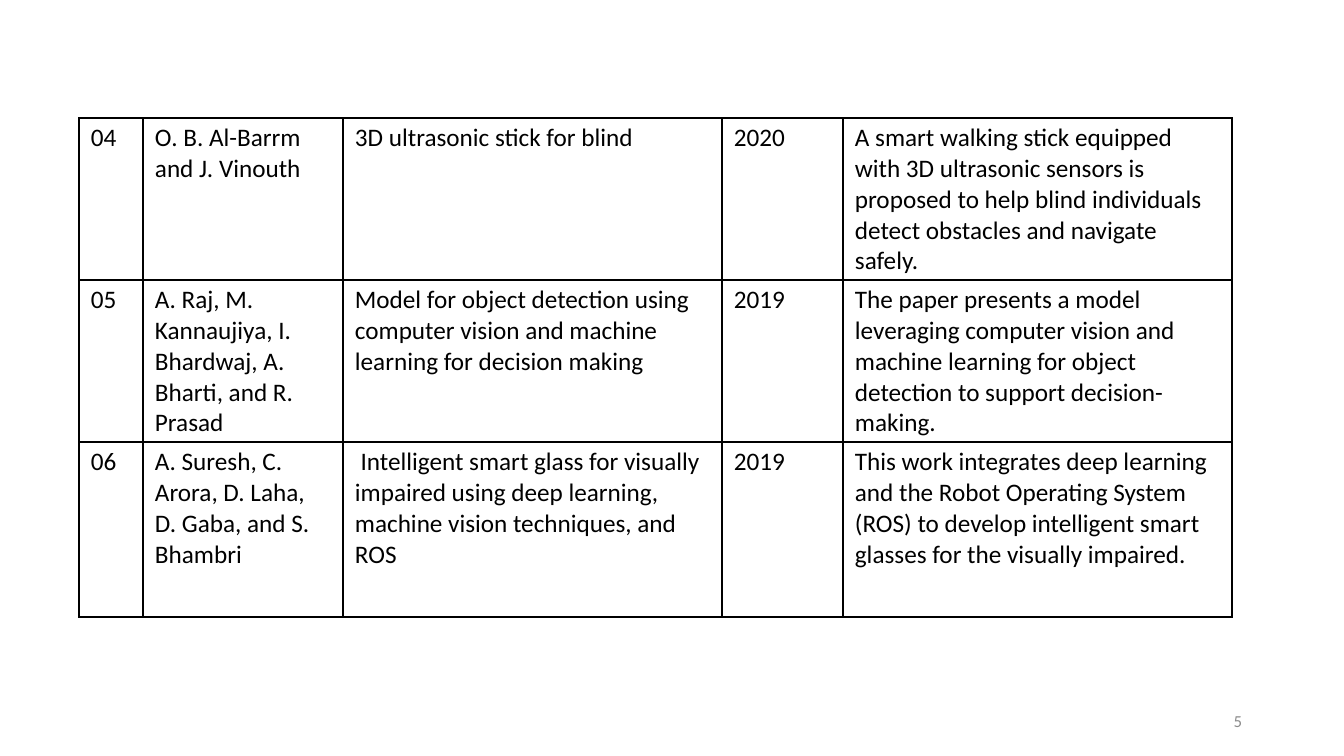
import pptx
import pptx.util
import pptx.dml.color
import pptx.enum.text
import pptx.oxml
import pptx.oxml.ns

# Content
PAPERS = [
    ("04", "O. B. Al-Barrm and J. Vinouth",
     "3D ultrasonic stick for blind", "2020",
     "A smart walking stick equipped with 3D ultrasonic sensors is proposed "
     "to help blind individuals detect obstacles and navigate safely."),
    ("05", "A. Raj, M. Kannaujiya, I. Bhardwaj, A. Bharti, and R. Prasad",
     "Model for object detection using computer vision and machine learning "
     "for decision making", "2019",
     "The paper presents a model leveraging computer vision and machine "
     "learning for object detection to support decision-making."),
    ("06", "A. Suresh, C. Arora, D. Laha, D. Gaba, and S. Bhambri",
     " Intelligent smart glass for visually impaired using deep learning, "
     "machine vision techniques, and ROS", "2019",
     "This work integrates deep learning and the Robot Operating System (ROS) "
     "to develop intelligent smart glasses for the visually impaired."),
]
PAGE_NUMBER = "5"

# Layout in px
SLIDE_SIZE = (1344, 756)
TABLE_LEFT, TABLE_TOP = 79, 118
COLUMN_WIDTHS = [64, 200, 379, 121, 389]
ROW_HEIGHTS = [162, 162, 175]
CELL_MARGIN_X, CELL_MARGIN_Y = 12, 5
PAGE_NUMBER_BOX = (950, 701, 302, 40)

FONT = "Calibri"
COLORS = {"text": "000000", "border": "000000", "page": "8C8C8C"}


def px(length):
    return pptx.util.Emu(round(length * 914400 / 100.8))


def write_text(frame, text, size=18, color="text",
               align=pptx.enum.text.PP_ALIGN.LEFT):
    frame.word_wrap = True
    paragraph = frame.paragraphs[0]
    paragraph.alignment = align
    run = paragraph.add_run()
    run.text = text
    run.font.name = FONT
    run.font.size = pptx.util.Pt(size)
    run.font.color.rgb = pptx.dml.color.RGBColor.from_string(COLORS[color])


def add_borders(cell, points=1):
    properties = cell._tc.get_or_add_tcPr()
    for index, side in enumerate(("lnL", "lnR", "lnT", "lnB")):
        line = pptx.oxml.parse_xml(
            f'<a:{side} {pptx.oxml.ns.nsdecls("a")} w="{pptx.util.Pt(points)}">'
            f'<a:solidFill><a:srgbClr val="{COLORS["border"]}"/></a:solidFill>'
            f'</a:{side}>')
        properties.insert(index, line)


def add_papers_table(slide):
    table = slide.shapes.add_table(
        len(PAPERS), len(COLUMN_WIDTHS), px(TABLE_LEFT), px(TABLE_TOP),
        px(sum(COLUMN_WIDTHS)), px(sum(ROW_HEIGHTS))).table
    table.first_row = False
    table.horz_banding = False
    for column, width in zip(table.columns, COLUMN_WIDTHS):
        column.width = px(width)
    for row, height, paper in zip(table.rows, ROW_HEIGHTS, PAPERS):
        row.height = px(height)
        for cell, text in zip(row.cells, paper):
            cell.margin_left = cell.margin_right = px(CELL_MARGIN_X)
            cell.margin_top = cell.margin_bottom = px(CELL_MARGIN_Y)
            cell.fill.background()
            add_borders(cell)
            write_text(cell.text_frame, text)


def main():
    presentation = pptx.Presentation()
    presentation.slide_width, presentation.slide_height = map(px, SLIDE_SIZE)
    slide = presentation.slides.add_slide(presentation.slide_layouts[6])

    # Page number
    frame = slide.shapes.add_textbox(*map(px, PAGE_NUMBER_BOX)).text_frame
    frame.vertical_anchor = pptx.enum.text.MSO_ANCHOR.MIDDLE
    write_text(frame, PAGE_NUMBER, size=12, color="page",
               align=pptx.enum.text.PP_ALIGN.RIGHT)

    # Literature table
    add_papers_table(slide)
    presentation.save("out.pptx")


if __name__ == "__main__":
    main()
